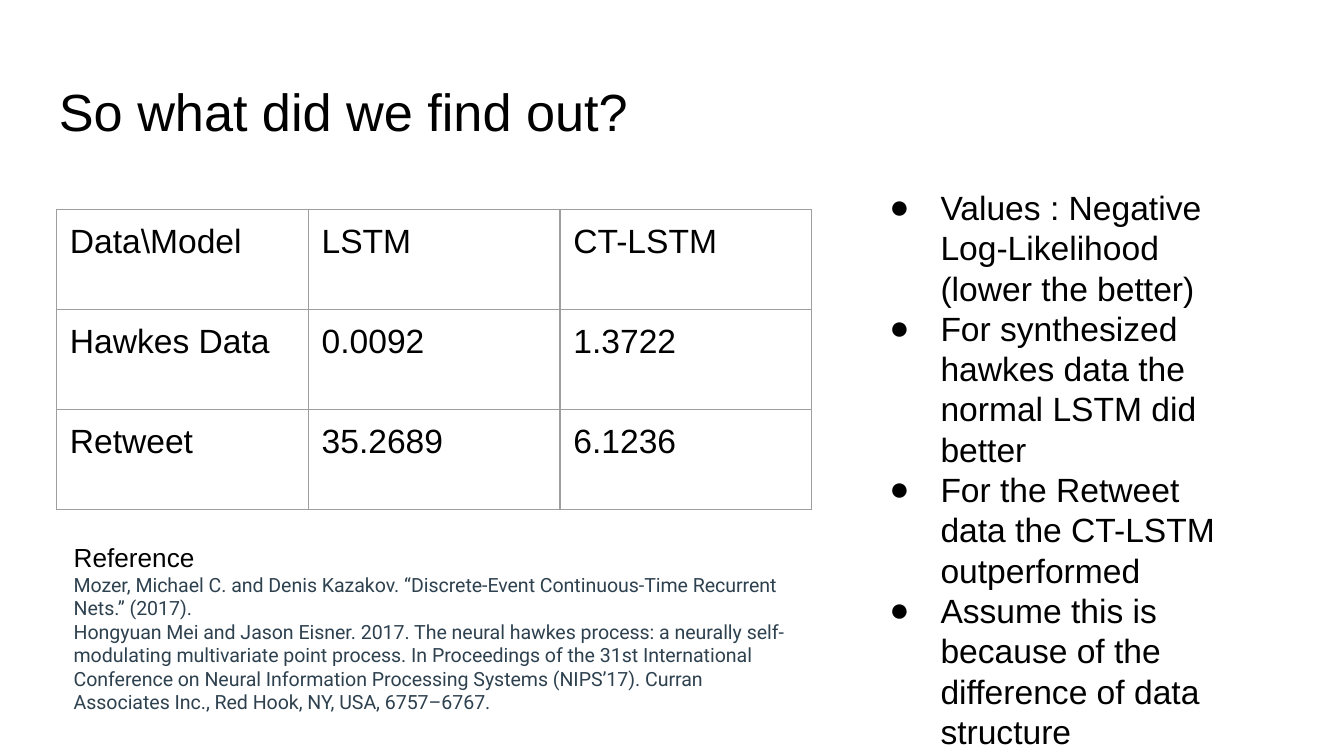
import pptx
import pptx.dml.color
import pptx.oxml
import pptx.oxml.ns
import pptx.util

Inches = pptx.util.Inches
Pt = pptx.util.Pt

RESULTS = [
    ["Data\\Model", "LSTM", "CT-LSTM"],
    ["Hawkes Data", "0.0092", "1.3722"],
    ["Retweet", "35.2689", "6.1236"],
]
FINDINGS = [
    "Values : Negative Log-Likelihood (lower the better)",
    "For synthesized hawkes data the normal LSTM did better",
    "For the Retweet data the CT-LSTM outperformed",
    "Assume this is because of the difference of data structure",
]
REFERENCES = [
    "Mozer, Michael C. and Denis Kazakov. “Discrete-Event Continuous-Time "
    "Recurrent Nets.” (2017).",
    "Hongyuan Mei and Jason Eisner. 2017. The neural hawkes process: a neurally "
    "self-modulating multivariate point process. In Proceedings of the 31st "
    "International Conference on Neural Information Processing Systems (NIPS’17). "
    "Curran Associates Inc., Red Hook, NY, USA, 6757–6767.",
]


def color(value):
    """Return the colour for a hex string."""
    return pptx.dml.color.RGBColor.from_string(value)


def add_xml(parent, markup):
    """Append a DrawingML element to the parent."""
    namespace = pptx.oxml.ns.nsdecls("a")
    parent.append(pptx.oxml.parse_xml(markup.replace(" ", f" {namespace} ", 1)))


def write(para, text, size=18, font="Arial", fill="000000", bullet=None):
    """Write formatted text into a paragraph."""
    if bullet:
        props = para._p.get_or_add_pPr()
        props.set("marL", str(Inches(0.5)))
        props.set("indent", str(-Inches(0.38)))
        add_xml(props, f'<a:buClr ><a:srgbClr val="{fill}"/></a:buClr>')
        add_xml(props, f'<a:buSzPts val="{size * 100}"/>')
        add_xml(props, f'<a:buFont typeface="{font}"/>')
        add_xml(props, f'<a:buChar char="{bullet}"/>')
    span = para.add_run()
    span.text = text
    span.font.size = Pt(size)
    span.font.name = font
    span.font.color.rgb = color(fill)


def add_text(page, left, top, width, height, items):
    """Add a text box with one paragraph for each text and format pair."""
    box = page.shapes.add_textbox(Inches(left), Inches(top), Inches(width), Inches(height))
    frame = box.text_frame
    frame.word_wrap = True
    frame.margin_left = frame.margin_right = Inches(0.1)
    frame.margin_top = frame.margin_bottom = Inches(0.1)
    for index, (text, style) in enumerate(items):
        para = frame.add_paragraph() if index else frame.paragraphs[0]
        write(para, text, **style)


def add_title(page, left, top, width, height):
    """Add the slide heading."""
    add_text(page, left, top, width, height, [("So what did we find out?", {"size": 28})])


def add_results(page, left, top, width, height):
    """Add the bordered table of model results."""
    table = page.shapes.add_table(len(RESULTS), len(RESULTS[0]), Inches(left),
                                  Inches(top), Inches(width), Inches(height)).table
    table.first_row = table.horz_banding = False
    for row, values in enumerate(RESULTS):
        for column, value in enumerate(values):
            cell = table.cell(row, column)
            cell.margin_left = cell.margin_right = Inches(0.1)
            cell.margin_top = cell.margin_bottom = Inches(0.1)
            write(cell.text_frame.paragraphs[0], value)
            props = cell._tc.get_or_add_tcPr()
            for side in ("lnL", "lnR", "lnT", "lnB"):
                add_xml(props, f'<a:{side} w="{Pt(0.75)}"><a:solidFill>'
                               f'<a:srgbClr val="9E9E9E"/></a:solidFill></a:{side}>')
            cell.fill.background()


def add_findings(page, left, top, width, height):
    """Add the bulleted findings."""
    add_text(page, left, top, width, height,
             [(text, {"bullet": "●"}) for text in FINDINGS])


def add_references(page, left, top, width, height):
    """Add the reference heading and its entries."""
    style = {"size": 10.5, "font": "Roboto", "fill": "2E414F"}
    add_text(page, left, top, width, height,
             [("Reference", {"size": 14})] + [(text, style) for text in REFERENCES])


def main():
    """Build and save the deck."""
    deck = pptx.Presentation()
    deck.slide_width = Inches(10)
    deck.slide_height = Inches(10 * 9 / 16)
    page = deck.slides.add_slide(deck.slide_layouts[6])
    add_title(page, 0.34, 0.49, 9.32, 0.63)
    add_results(page, 0.42, 1.56, 5.62, 2.23)
    add_findings(page, 6.4, 1.29, 2.93, 3.97)
    add_references(page, 0.45, 3.93, 5.55, 1.14)
    deck.save("out.pptx")


if __name__ == "__main__":
    main()
